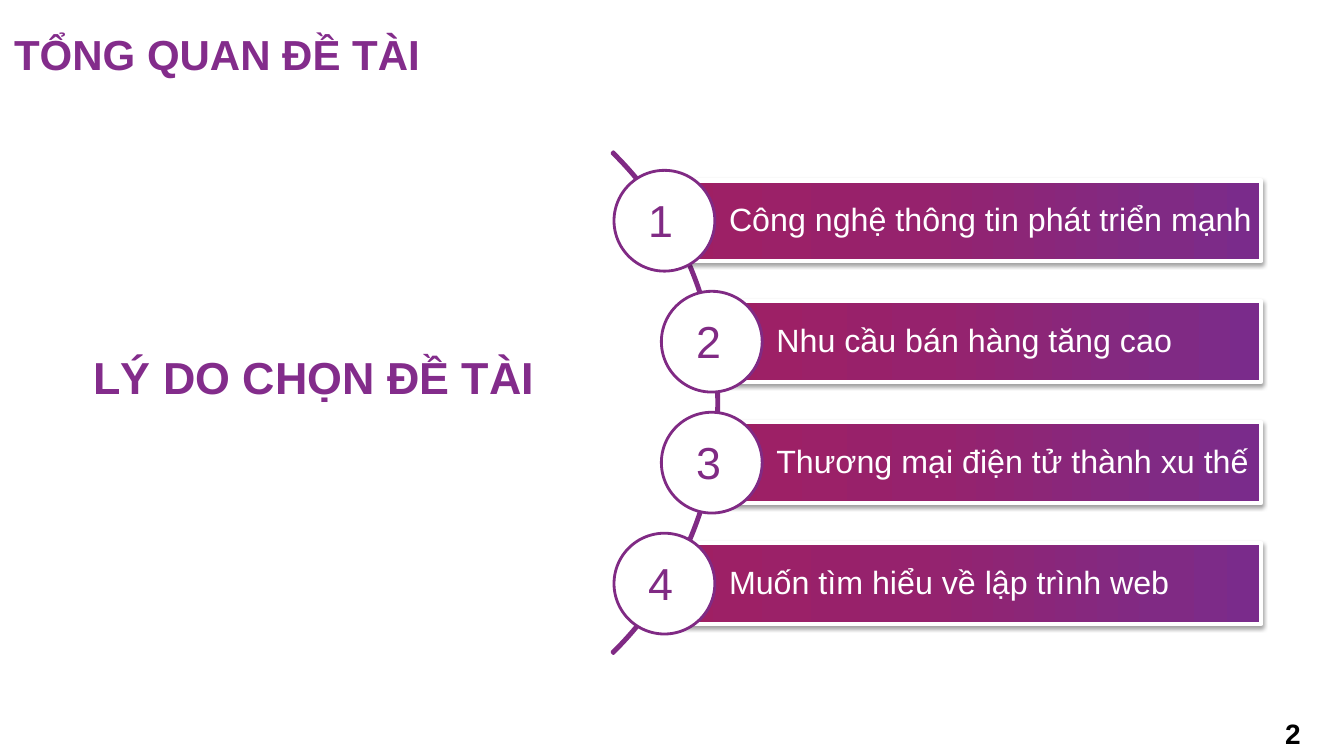
from lxml import etree
from pptx import Presentation, util as u
from pptx.dml.color import RGBColor
from pptx.enum import shapes, text
from pptx.oxml import ns

WIDE, HIGH = 13.33, 7.5
PLUM, TITLE, WHITE = "802A84", "832C8B", "FFFFFF"
STOPS = [(0, "9F1F63"), (41, "96226D"), (83, PLUM), (100, "7A2B8B")]

# Rows of the list: text and whether the row is pushed out along the arc
ROWS = [
    ("Công nghệ thông tin phát triển mạnh", False),
    ("Nhu cầu bán hàng tăng cao", True),
    ("Thương mại điện tử thành xu thế", True),
    ("Muốn tìm hiểu về lập trình web", False),
]
TOP, PITCH, TALL = 1.79, 1.2, 0.8
LEFT, SHIFT, RIGHT = 6.59, 0.47, 12.51
DISC = 1.0


def tint(code):
    return RGBColor.from_string(code)


def place(shape, x, y, w, h):
    shape.left, shape.top = u.Inches(x), u.Inches(y)
    shape.width, shape.height = u.Inches(w), u.Inches(h)


def write(shape, words, size, color, bold=False, align="LEFT",
          inset=(0.1, 0.1, 0.1, 0.1), gap=0.9):
    """Set one paragraph, centred from top to bottom."""
    frame = shape.text_frame
    frame.word_wrap = True
    frame.auto_size = text.MSO_AUTO_SIZE.NONE
    frame.vertical_anchor = text.MSO_ANCHOR.MIDDLE
    (frame.margin_left, frame.margin_top,
     frame.margin_right, frame.margin_bottom) = map(u.Inches, inset)
    para = frame.paragraphs[0]
    para.text = words
    para.alignment = getattr(text.PP_ALIGN, align)
    para.line_spacing = gap
    font = para.font
    font.name, font.size, font.bold = "Arial", u.Pt(size), bold
    font.color.rgb = tint(color)


def label(slide, box, *args, **style):
    write(slide.shapes.add_textbox(*map(u.Inches, box)), *args, **style)


def draw(slide, kind, box, line, width, fill=None):
    shape = slide.shapes.add_shape(kind, *map(u.Inches, box))
    shape.shadow.inherit = False
    shape.line.color.rgb = tint(line)
    shape.line.width = u.Pt(width)
    if fill:
        shape.fill.solid()
        shape.fill.fore_color.rgb = tint(fill)
    else:
        shape.fill.background()
    return shape


def child(parent, tag, **attrs):
    node = etree.SubElement(parent, ns.qn(tag))
    for key, val in attrs.items():
        node.set(key, str(val))
    return node


def blend(shape):
    """Fill from left to right with the four stops."""
    shape.fill.gradient()
    shape.fill.gradient_angle = 0
    stops = shape._element.spPr.find(".//" + ns.qn("a:gsLst"))
    for old in list(stops):
        stops.remove(old)
    for share, code in STOPS:
        stop = child(stops, "a:gs", pos=share * 1000)
        child(stop, "a:srgbClr", val=code)


def shade(shape):
    """Cast a soft shadow straight down."""
    effects = shape._element.spPr.find(ns.qn("a:effectLst"))
    cast = child(effects, "a:outerShdw", blurRad=u.Pt(3.1), dist=u.Pt(1.6),
                 dir=90 * 60000, algn="ctr", rotWithShape=0)
    black = child(cast, "a:srgbClr", val="000000")
    child(black, "a:alpha", val=37000)


def arc(slide):
    curve = draw(slide, shapes.MSO_SHAPE.BLOCK_ARC,
                 (0.06, 0.49, 7.07, 7.01), PLUM, 2)
    for i, val in enumerate((189, 27, 0.003)):
        curve.adjustments[i] = val


def row(slide, index, words, out):
    x = LEFT + SHIFT * out
    y = TOP + PITCH * index
    bar = draw(slide, shapes.MSO_SHAPE.RECTANGLE,
               (x, y, RIGHT - x, TALL), WHITE, 3)
    blend(bar)
    shade(bar)
    write(bar, words, 23, WHITE, inset=(0.64, 0.06, 0.06, 0.06))
    disc = draw(slide, shapes.MSO_SHAPE.OVAL,
                (x - DISC / 2, y + (TALL - DISC) / 2, DISC, DISC),
                PLUM, 2, WHITE)
    write(disc, str(index + 1), 32, PLUM, align="CENTER",
          inset=(0, 0, 0.06, 0.02), gap=1.0)


def main():
    deck = Presentation()
    deck.slide_width, deck.slide_height = u.Inches(WIDE), u.Inches(HIGH)
    slide = deck.slides.add_slide(deck.slide_layouts[5])

    # Headings
    title = slide.shapes.title
    place(title, 0.04, 0, 11.5, 1.12)
    write(title, "TỔNG QUAN ĐỀ TÀI", 30, TITLE, bold=True)
    label(slide, (0.83, 3.21, 5.17, 1.12), "LÝ DO CHỌN ĐỀ TÀI",
          32, TITLE, bold=True)

    # Numbered list along the arc
    arc(slide)
    for index, (words, out) in enumerate(ROWS):
        row(slide, index, words, out)

    # Page number
    label(slide, (10, 7.07, 3, 0.4), "2", 20, "000000", bold=True,
          align="RIGHT", inset=(0.1, 0.05, 0.1, 0.05), gap=1.0)
    deck.save("out.pptx")


if __name__ == "__main__":
    main()
